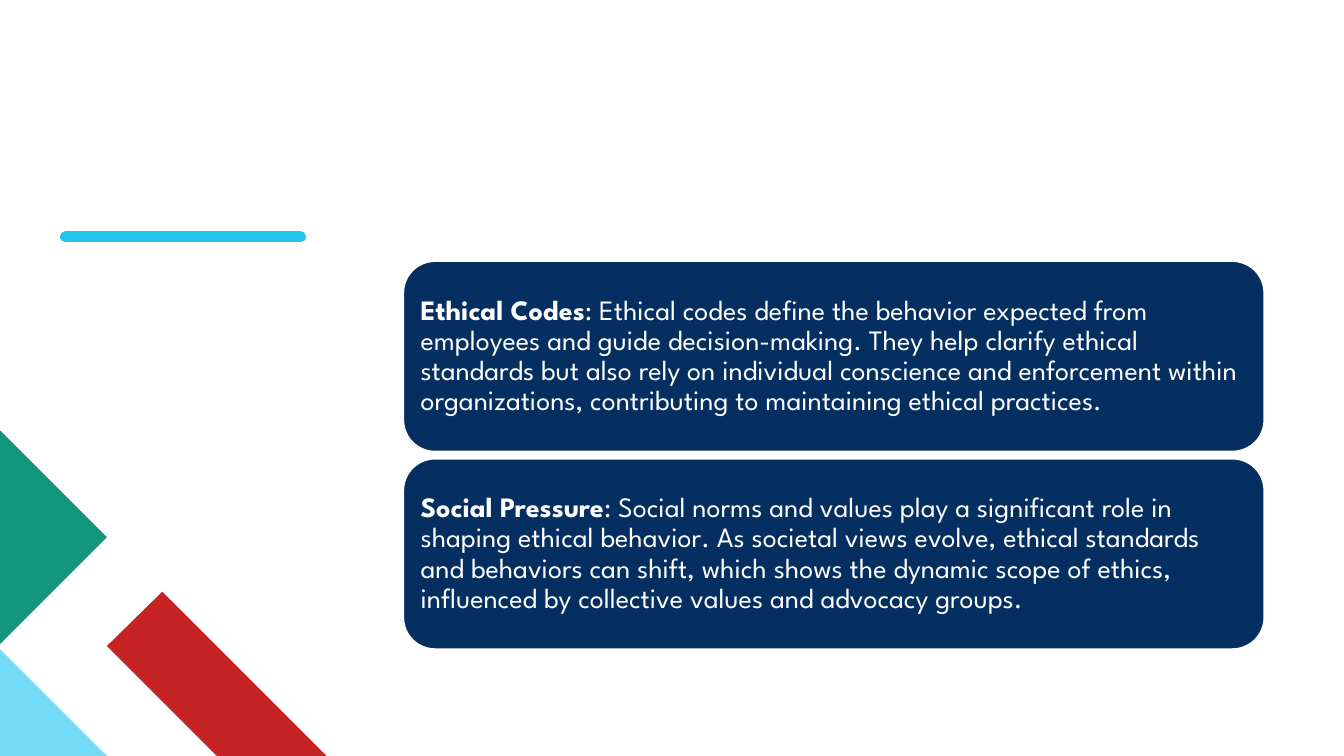
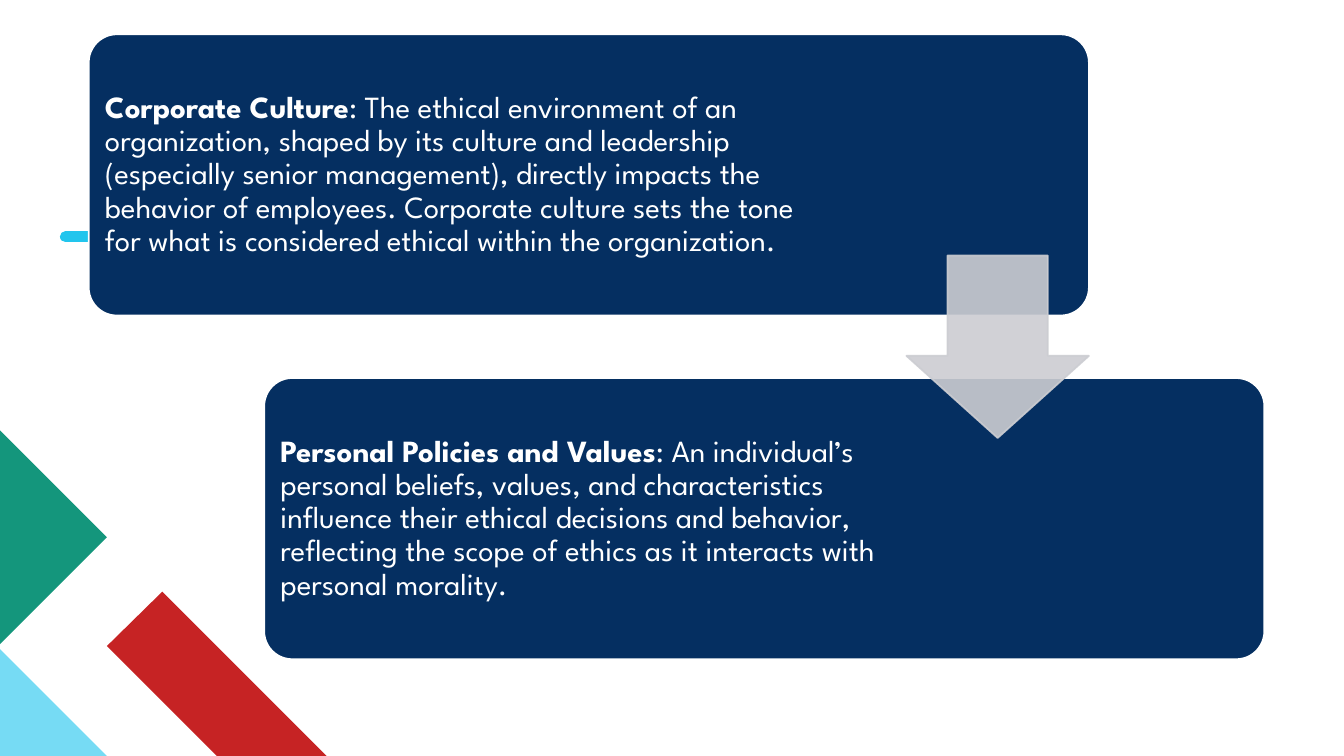
from pptx import Presentation
from pptx import util as u
from pptx.dml.color import RGBColor
from pptx.enum import shapes, text
from pptx.oxml import ns, xmlchemy

FONT = "League Spartan"
WHITE, NAVY, GREY = "FFFFFF", "052F61", "CCCDD2"
CYAN, RED, SKY, GREEN = "22C5ED", "C62324", "76DBF4", "14967C"

CORNER_SHAPES = [
    (RED, [(3.24, 7.5), (2.15, 7.5), (1.06, 6.41), (1.61, 5.87)]),
    (SKY, [(1.06, 7.5), (0, 7.5), (0, 6.44)]),
    (GREEN, [(0, 4.27), (1.06, 5.33), (0, 6.39)]),
]

CODES = (
    "Ethical Codes",
    ": Ethical codes define the behavior expected from employees and guide "
    "decision-making. They help clarify ethical standards but also rely on "
    "individual conscience and enforcement within organizations, contributing "
    "to maintaining ethical practices.",
)
PRESSURE = (
    "Social Pressure",
    ": Social norms and values play a significant role in shaping ethical "
    "behavior. As societal views evolve, ethical standards and behaviors can "
    "shift, which shows the dynamic scope of ethics, influenced by collective "
    "values and advocacy groups.",
)
CULTURE = (
    "Corporate Culture",
    ": The ethical environment of an organization, shaped by its culture and "
    "leadership (especially senior management), directly impacts the behavior "
    "of employees. Corporate culture sets the tone for what is considered "
    "ethical within the organization.",
)
VALUES = (
    "Personal Policies and Values",
    ": An individual’s personal beliefs, values, and characteristics influence "
    "their ethical decisions and behavior, reflecting the scope of ethics as it "
    "interacts with personal morality.",
)


def color(value):
    """Turn a hex string into a colour."""
    return RGBColor.from_string(value)


def paint(shape, fill, line=None, width=1.25):
    """Give a shape a flat fill and an optional outline."""
    shape.shadow.inherit = False
    shape.fill.solid()
    shape.fill.fore_color.rgb = color(fill)
    if line:
        shape.line.color.rgb = color(line)
        shape.line.width = u.Pt(width)
    else:
        shape.line.fill.background()


def add_span(para, words, size=20, bold=False, ink=WHITE):
    """Append formatted text to a paragraph."""
    span = para.add_run()
    span.text = words
    span.font.name = FONT
    span.font.size = u.Pt(size)
    span.font.bold = bold
    span.font.color.rgb = color(ink)


def add_decoration(page):
    """Draw the accent line and the corner shapes."""
    accent = page.shapes.add_connector(
        shapes.MSO_CONNECTOR.STRAIGHT,
        u.Inches(0.65), u.Inches(2.35), u.Inches(2.98), u.Inches(2.35))
    accent.line.color.rgb = color(CYAN)
    accent.line.width = u.Pt(8)
    properties = accent._element.spPr
    properties.find(ns.qn("a:ln")).set("cap", "rnd")
    properties.append(xmlchemy.OxmlElement("a:effectLst"))
    for fill, points in CORNER_SHAPES:
        start, *others = [(u.Inches(x), u.Inches(y)) for x, y in points]
        outline = page.shapes.build_freeform(*start)
        outline.add_line_segments(others, close=True)
        paint(outline.convert_to_shape(), fill)


def add_card(page, box, content, size, corner, right_inset=0.08):
    """Draw a rounded card with a bold lead and its explanation."""
    card = page.shapes.add_shape(
        shapes.MSO_SHAPE.ROUNDED_RECTANGLE, *map(u.Inches, box))
    card.adjustments[0] = corner
    paint(card, NAVY, line=WHITE)
    frame = card.text_frame
    frame.word_wrap = True
    frame.vertical_anchor = text.MSO_ANCHOR.MIDDLE
    frame.margin_left = frame.margin_top = frame.margin_bottom = u.Inches(0.08)
    frame.margin_right = u.Inches(right_inset)
    para = frame.paragraphs[0]
    para.alignment = text.PP_ALIGN.LEFT
    para.line_spacing = 0.9
    lead, explanation = content
    add_span(para, lead, size=size, bold=True)
    add_span(para, explanation, size=size)


def add_down_arrow(page, box):
    """Draw the translucent arrow between two cards."""
    arrow = page.shapes.add_shape(
        shapes.MSO_SHAPE.DOWN_ARROW, *map(u.Inches, box))
    arrow.adjustments[0] = 0.55
    arrow.adjustments[1] = 0.45
    paint(arrow, GREY, line=GREY)
    for tint in arrow._element.spPr.iter(ns.qn("a:srgbClr")):
        alpha = xmlchemy.OxmlElement("a:alpha")
        alpha.set("val", "90000")
        tint.append(alpha)


def add_page(deck):
    """Add a blank page with the shared decoration."""
    page = deck.slides.add_slide(deck.slide_layouts[6])
    add_decoration(page)
    return page


def build_stacked_page(deck, box, contents, pitch):
    """Stack equal cards at a fixed pitch."""
    page = add_page(deck)
    left, top, width, height = box
    for index, content in enumerate(contents):
        card_box = (left, top + index * pitch, width, height)
        add_card(page, card_box, content, size=20, corner=0.1667)


def build_stepped_page(deck, box, steps):
    """Place two cards in a staircase joined by an arrow."""
    page = add_page(deck)
    left, top, width, height = box
    shift, drop, arrow_size = 1.74, 3.41, 1.81
    for index, (content, right_inset) in enumerate(steps):
        card_box = (left + index * shift, top + index * drop, width, height)
        add_card(page, card_box, content, size=22, corner=0.1,
                 right_inset=right_inset)
    middle = top + (drop + height) / 2
    add_down_arrow(page, (left + width - arrow_size, middle - arrow_size / 2,
                          arrow_size, arrow_size))


def main():
    """Build and save the deck."""
    deck = Presentation()
    deck.slide_width, deck.slide_height = u.Inches(13.33), u.Inches(7.5)
    build_stacked_page(deck, (4, 2.59, 8.54, 1.89), [CODES, PRESSURE], 1.96)
    build_stepped_page(deck, (0.88, 0.34, 9.92, 2.79),
                       [(CULTURE, 2.82), (VALUES, 3.65)])
    deck.save("out.pptx")


if __name__ == "__main__":
    main()
